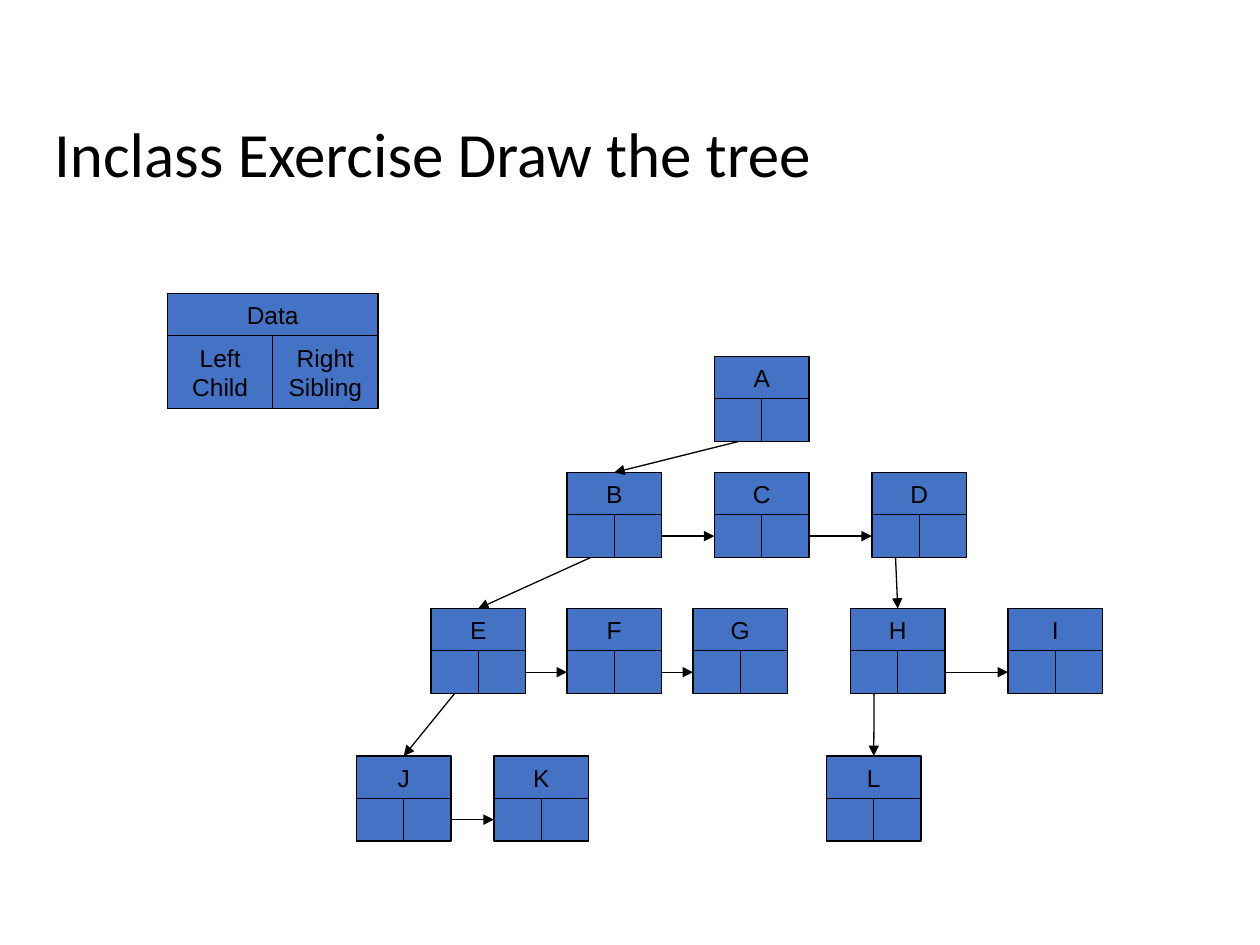
from lxml import etree
from pptx import Presentation
from pptx.dml.color import RGBColor
from pptx.enum.shapes import MSO_CONNECTOR, MSO_SHAPE
from pptx.enum.text import MSO_ANCHOR, MSO_AUTO_SIZE, PP_ALIGN
from pptx.oxml.ns import qn
from pptx.util import Inches, Pt

RECT = MSO_SHAPE.RECTANGLE
STRAIGHT = MSO_CONNECTOR.STRAIGHT
LEFT, CENTER = PP_ALIGN.LEFT, PP_ALIGN.CENTER
MIDDLE = MSO_ANCHOR.MIDDLE
FIXED, GROW = MSO_AUTO_SIZE.NONE, MSO_AUTO_SIZE.SHAPE_TO_FIT_TEXT
BLUE = RGBColor(0x44, 0x72, 0xC4)
BLACK = RGBColor(0, 0, 0)

TOP_SIDE, LEFT_SIDE, BOTTOM_SIDE, RIGHT_SIDE = range(4)
NODE_W, ROW_H = 0.75, 0.34

# Each level: top edge, then the left edge of every node
LEVELS = [
    (2.83, {"A": 5.67}),
    (3.75, {"B": 4.5, "C": 5.67, "D": 6.92}),
    (4.83, {"E": 3.42, "F": 4.5, "G": 5.5, "H": 6.75, "I": 8}),
    (6, {"J": 2.83, "K": 3.92, "L": 6.56}),
]
CHILDREN = ["AB", "BE", "EJ", "DH", "HL"]
SIBLINGS = ["BC", "CD", "EF", "FG", "HI", "JK"]


def style(font, name, size):
    """Set the face, size and colour of a font."""
    font.name, font.size, font.color.rgb = name, Pt(size), BLACK


def add_title(slide, text, box):
    """Place and format the title placeholder."""
    title = slide.shapes.title
    title.left, title.top, title.width, title.height = map(Inches, box)
    frame = title.text_frame
    frame.text = text
    frame.auto_size, frame.vertical_anchor = FIXED, MIDDLE
    line = frame.paragraphs[0]
    line.alignment, line.line_spacing = LEFT, 0.9
    style(line.runs[0].font, "Calibri", 36)


def add_cell(group, box, text):
    """Add one outlined cell, with centred text if there is any."""
    cell = group.shapes.add_shape(RECT, *map(Inches, box))
    cell.shadow.inherit = False
    cell.fill.solid()
    cell.fill.fore_color.rgb = BLUE
    cell.line.color.rgb, cell.line.width = BLACK, Pt(0.75)
    if text:
        frame = cell.text_frame
        frame.text = text
        frame.word_wrap, frame.auto_size = True, GROW
        line = frame.paragraphs[0]
        line.alignment = CENTER
        style(line.runs[0].font, "Arial", 14)
    return cell


def add_node(slide, box, data, low=ROW_H, child="", sibling=""):
    """Add a data cell over two link cells; return all three."""
    left, top, width = box
    half, base = width / 2, top + ROW_H - 0.005
    group = slide.shapes.add_group_shape()
    return (
        add_cell(group, (left, top, width, ROW_H), data),
        add_cell(group, (left, base, half, low), child),
        add_cell(group, (left + half, base, half, low), sibling),
    )


def add_arrow(slide, start, start_side, end, end_side):
    """Join the sides of two cells with an arrow."""
    arrow = slide.shapes.add_connector(STRAIGHT, 0, 0, 0, 0)
    arrow.begin_connect(start, start_side)
    arrow.end_connect(end, end_side)
    arrow.line.color.rgb, arrow.line.width = BLACK, Pt(0.75)
    etree.SubElement(arrow.line._get_or_add_ln(), qn("a:tailEnd"), type="triangle")
    etree.SubElement(arrow._element.spPr, qn("a:effectLst"))


def add_tree(slide):
    """Add the nodes level by level, then the links between them."""
    nodes = {
        name: add_node(slide, (left, top, NODE_W), name)
        for top, row in LEVELS
        for name, left in row.items()
    }
    for start, end in CHILDREN:
        add_arrow(slide, nodes[start][1], BOTTOM_SIDE, nodes[end][0], TOP_SIDE)
    for start, end in SIBLINGS:
        add_arrow(slide, nodes[start][2], RIGHT_SIDE, nodes[end][1], LEFT_SIDE)


def main():
    """Build and save the slide."""
    deck = Presentation()
    deck.slide_width, deck.slide_height = Inches(10), Inches(7.5)
    slide = deck.slides.add_slide(deck.slide_layouts[5])
    add_title(slide, "Inclass Exercise Draw the tree", (0.33, 0.83, 9.17, 0.83))
    add_node(slide, (1.33, 2.33, 1.67), "Data", 0.58, "Left Child", "Right Sibling")
    add_tree(slide)
    deck.save("out.pptx")


main()
